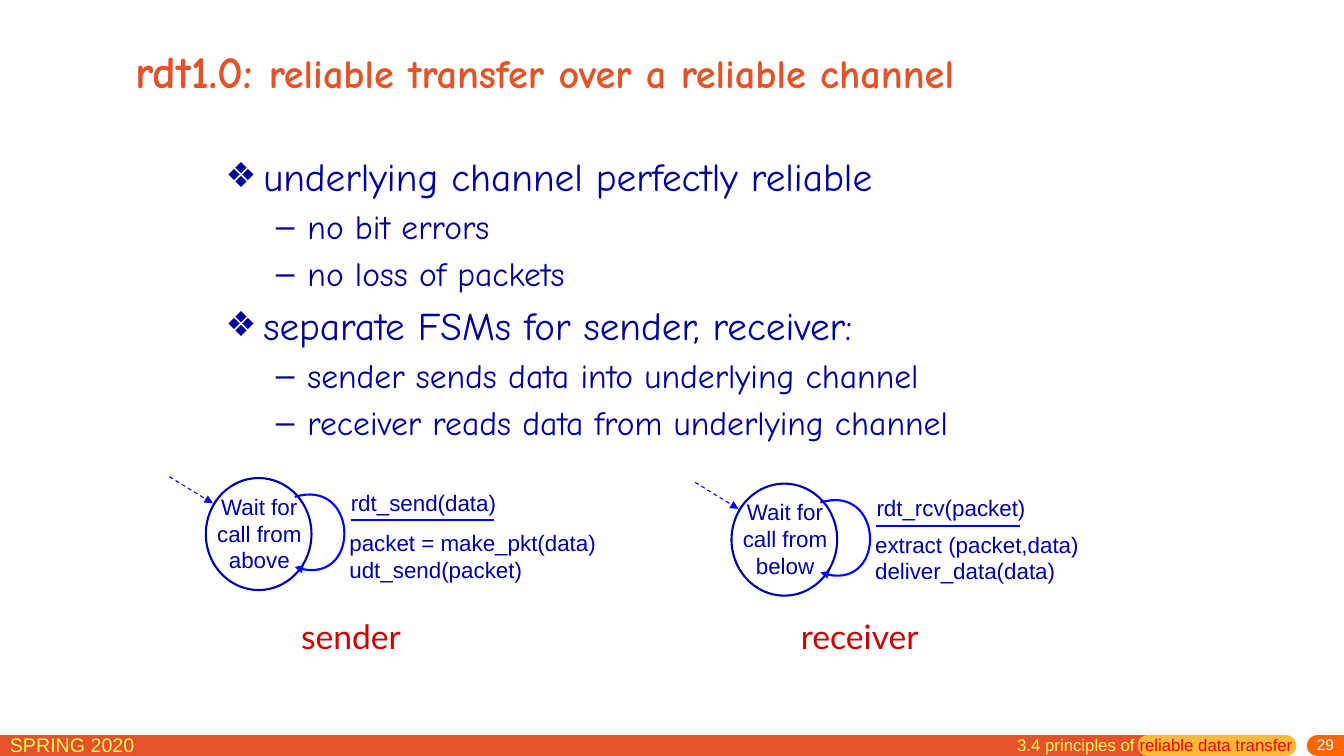
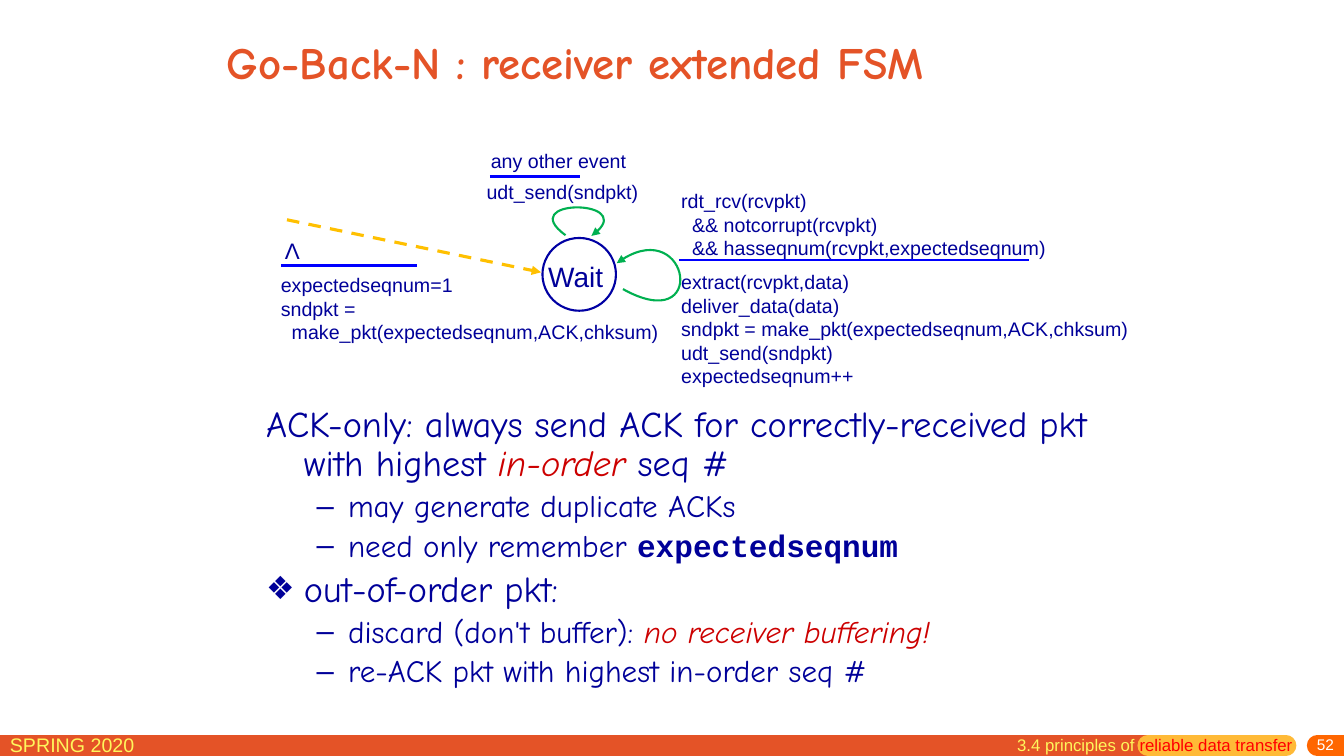
from dataclasses import dataclass
from typing import Optional

from lxml.etree import SubElement
from pptx import Presentation
from pptx.dml.color import RGBColor
from pptx.enum.dml import MSO_LINE_DASH_STYLE as Dash
from pptx.enum.shapes import MSO_CONNECTOR, MSO_SHAPE
from pptx.enum.text import MSO_ANCHOR as Anchor, PP_ALIGN as Align
from pptx.oxml.ns import qn
from pptx.util import Pt

ORANGE, AMBER, DEEP_ORANGE = "E45327", "FFBA37", "FF6600"
PALE_YELLOW, RED, CRIMSON, WHITE = "FFF65C", "FF0000", "CC0000", "FFFFFF"
NAVY, INK, BLUE, GREEN, GOLD = "000099", "0000A3", "0000FF", "00B050", "FFC000"
HAND, SANS, MONO, LABEL = "Comic Neue", "Arial", "Courier New", "Lato"


@dataclass(frozen=True)
class Span:
    text: str
    size: Optional[float] = None
    color: Optional[str] = None
    font: Optional[str] = None
    bold: Optional[bool] = None
    italic: Optional[bool] = None


@dataclass(frozen=True)
class Item:
    spans: tuple
    indent: float
    hanging: float
    size: float
    bullet: str = ""
    bullet_percent: int = 100


@dataclass(frozen=True)
class Machine:
    left: float
    top: float
    state: str
    event: str
    actions: tuple
    actions_top: float
    role: str
    role_left: float


MACHINES = (
    Machine(147, 341.5, "Wait for call from above", "rdt_send(data)",
            ("packet = make_pkt(data)", "udt_send(packet)"), 33, "sender", 208),
    Machine(522.5, 345.5, "Wait for call from below", "rdt_rcv(packet)",
            ("extract (packet,data)", "deliver_data(data)"), 30, "receiver", 565),
)


def rgb(color: str) -> RGBColor:
    return RGBColor.from_string(color)


def topic(*spans, size: float, bullet: str = "❖") -> Item:
    return Item(spans, 27, 27, size, bullet, 88)


def detail(*spans, size: float) -> Item:
    return Item(spans, 58.5, 22.5, size, "–")


def apply_item(para, item: Item) -> None:
    properties = para._p.get_or_add_pPr()
    properties.set("marL", str(Pt(item.indent)))
    properties.set("indent", str(-Pt(item.hanging)))
    if item.bullet:
        SubElement(properties, qn("a:buSzPct")).set("val", str(item.bullet_percent * 1000))
        SubElement(properties, qn("a:buFont")).set("typeface", SANS)
        SubElement(properties, qn("a:buChar")).set("char", item.bullet)
    else:
        SubElement(properties, qn("a:buNone"))


def add_text(slide, lines, left: float, top: float, width: float, height: float, *,
             size: float = 14, color: str = NAVY, font: str = SANS, bold: bool = False,
             align=Align.LEFT, anchor=Anchor.TOP,
             spacing: Optional[float] = None, margins=(7.2, 3.6, 7.2, 3.6)) -> None:
    frame = slide.shapes.add_textbox(Pt(left), Pt(top), Pt(width), Pt(height)).text_frame
    frame.word_wrap = True
    frame.vertical_anchor = anchor
    (frame.margin_left, frame.margin_top,
     frame.margin_right, frame.margin_bottom) = map(Pt, margins)
    for index, line in enumerate([lines] if isinstance(lines, str) else lines):
        para = frame.add_paragraph() if index else frame.paragraphs[0]
        para.alignment = align
        line_size, spans = size, line
        if isinstance(line, Item):
            apply_item(para, line)
            line_size, spans = line.size, line.spans
            if index:
                para.space_before = Pt(round(line_size * 0.2, 1))
        if spacing:
            para.line_spacing = spacing
        for span in [spans] if isinstance(spans, str) else spans:
            span = Span(span) if isinstance(span, str) else span
            run = para.add_run()
            run.text = span.text
            run.font.size = Pt(span.size or line_size)
            run.font.name = span.font or font
            run.font.color.rgb = rgb(span.color or color)
            run.font.bold = bold if span.bold is None else span.bold
            run.font.italic = bool(span.italic)


def style_line(shape, color: str, weight: float, *, dash: bool = False,
               arrow: bool = False, rounded: bool = False) -> None:
    shape.line.color.rgb = rgb(color)
    shape.line.width = Pt(weight)
    if dash:
        shape.line.dash_style = Dash.DASH
    properties = shape._element.spPr
    outline = properties.find(qn("a:ln"))
    if rounded:
        outline.set("cap", "rnd")
    if arrow:
        SubElement(outline, qn("a:tailEnd")).set("type", "triangle")
    if properties.find(qn("a:effectLst")) is None:
        SubElement(properties, qn("a:effectLst"))


def add_line(slide, start: tuple, end: tuple, color: str, weight: float, **style) -> None:
    line = slide.shapes.add_connector(MSO_CONNECTOR.STRAIGHT, *map(Pt, start + end))
    style_line(line, color, weight, **style)


def add_loop(slide, points, color: str) -> None:
    start, *others = [(Pt(x), Pt(y)) for x, y in points]
    builder = slide.shapes.build_freeform(*start)
    builder.add_line_segments(others, close=False)
    loop = builder.convert_to_shape()
    loop.fill.background()
    path = next(loop._element.iter(qn("a:path")))
    segments = path.findall(qn("a:lnTo"))
    curve = SubElement(path, qn("a:cubicBezTo"))
    for segment in segments:
        curve.append(segment[0])
        path.remove(segment)
    style_line(loop, color, 1.5, arrow=True)


def add_state(slide, left: float, top: float, width: float, height: float) -> None:
    circle = slide.shapes.add_shape(MSO_SHAPE.OVAL, Pt(left), Pt(top), Pt(width), Pt(height))
    circle.shadow.inherit = False
    circle.fill.solid()
    circle.fill.fore_color.rgb = rgb(WHITE)
    style_line(circle, INK, 1.5)


def add_title(slide, spans, left: float, top: float, width: float, height: float,
              size: float) -> None:
    add_text(slide, [spans], left, top, width, height, size=size, color=ORANGE,
             font=HAND, bold=True, anchor=Anchor.MIDDLE)


def start_page(deck, number: int):
    page = deck.slides.add_slide(deck.slide_layouts[6])
    for start, end, color, rounded in ((0, 820, ORANGE, False), (820, 918.5, AMBER, True),
                                       (941, 960, DEEP_ORANGE, True)):
        add_line(page, (start, 532.5), (end, 532.5), color, 15, rounded=rounded)
    add_text(page, "SPRING 2020", 0, 520, 165, 22, size=14, color=PALE_YELLOW)
    add_text(page, str(number), 774, 527, 186, 13, size=11, color=WHITE,
             align=Align.RIGHT, anchor=Anchor.MIDDLE, margins=(7.2, 0, 7.2, 3.6))
    add_text(page, [("3.4 principles of ", Span("reliable data transfer", color=RED))],
             719.5, 521.5, 216.5, 22, size=12, color=PALE_YELLOW)
    return page


def draw_machine(page, machine: Machine) -> None:
    def at(x: float, y: float) -> tuple:
        return machine.left + x, machine.top + y

    add_state(page, *at(0, 0), 75.5, 80)
    add_text(page, machine.state, *at(-5, 7), 86.5, 72, size=16, color=INK, align=Align.CENTER)
    add_loop(page, [at(63.5, 13.5), at(108.5, -0.5), at(111.5, 80), at(63.5, 63.5)], BLUE)
    add_line(page, at(-26, -1), at(5, 18), BLUE, 0.75, dash=True, arrow=True)
    add_text(page, machine.event, *at(96.5, 4), 178, 27, size=16, color=INK)
    add_line(page, at(103.5, 30), at(206, 30), BLUE, 1.5)
    add_text(page, machine.actions, *at(95.5, machine.actions_top), 211, 47, size=16, color=INK)
    add_text(page, machine.role, machine.role_left, 436.5, 120, 36, size=24,
             color=CRIMSON, font=LABEL)


def draw_reliable_channel(deck) -> None:
    page = start_page(deck, 29)
    add_title(page, ("rdt1.0: ", Span("reliable transfer over a reliable channel", 28.8)),
              90, 11, 713.5, 79, 32.4)
    add_text(page, [
        topic("underlying channel perfectly reliable", size=28),
        detail("no bit errors", size=24),
        detail("no loss of packets", size=24),
        topic("separate FSMs for sender, receiver:", size=28),
        detail("sender sends data into underlying channel", size=24),
        detail("receiver reads data from underlying channel", size=24),
    ], 154, 105, 622, 237.5, font=HAND)
    for machine in MACHINES:
        draw_machine(page, machine)


def draw_go_back_n(deck) -> None:
    page = start_page(deck, 52)
    add_title(page, ("Go-Back-N : receiver extended FSM",), 155, 16.5, 612, 55.5, 32)
    add_text(page, [
        topic("ACK-only: always send ACK for correctly-received pkt with highest ",
              Span("in-order ", color=CRIMSON, italic=True), "seq #", size=25.9, bullet=""),
        detail("may generate duplicate ACKs", size=22.2),
        detail("need only remember ", Span("expectedseqnum", font=MONO, bold=True), size=22.2),
        topic("out-of-order pkt:", size=25.9),
        detail("discard (don't buffer): ",
               Span("no receiver buffering!", color=CRIMSON, italic=True), size=22.2),
        detail("re-ACK pkt with highest in-order seq #", size=22.2),
    ], 183, 286.5, 641.5, 224.5, font=HAND, spacing=0.9)

    add_state(page, 387.5, 170, 52.5, 52)
    add_text(page, "Wait", 384.5, 181.5, 63.5, 26.5, size=20)
    add_line(page, (205, 157), (386.5, 194.5), GOLD, 2.25, dash=True, arrow=True)
    add_loop(page, [(445, 206.5), (506, 240.5), (492, 150), (440.5, 188)], GREEN)
    add_loop(page, [(404, 168), (368, 142), (459.5, 142), (422.5, 168.5)], GREEN)

    add_text(page, ("rdt_rcv(rcvpkt)", "  && notcorrupt(rcvpkt)",
                    "  && hasseqnum(rcvpkt,expectedseqnum)"), 479.5, 131.5, 281, 45)
    add_line(page, (485, 186), (735, 186), BLUE, 1.5)
    add_text(page, ("extract(rcvpkt,data)", "deliver_data(data)",
                    "sndpkt = make_pkt(expectedseqnum,ACK,chksum)",
                    "udt_send(sndpkt)", "expectedseqnum++"), 479.5, 189.5, 340, 68)

    add_text(page, "any other event", 343.5, 103, 131, 19.5)
    add_line(page, (350, 126), (414, 126), BLUE, 2.25)
    add_text(page, "udt_send(sndpkt)", 340.5, 125, 127.5, 24.5)

    add_text(page, "Λ", 196.5, 165.5, 25, 26.5, size=16)
    add_line(page, (201, 189.5), (298, 189.5), BLUE, 2.25)
    add_text(page, ("expectedseqnum=1", "sndpkt =",
                    "  make_pkt(expectedseqnum,ACK,chksum)"), 193.5, 191.5, 286.5, 77)


def main() -> None:
    deck = Presentation()
    deck.slide_width, deck.slide_height = Pt(960), Pt(540)
    draw_reliable_channel(deck)
    draw_go_back_n(deck)
    deck.save("out.pptx")


if __name__ == "__main__":
    main()
